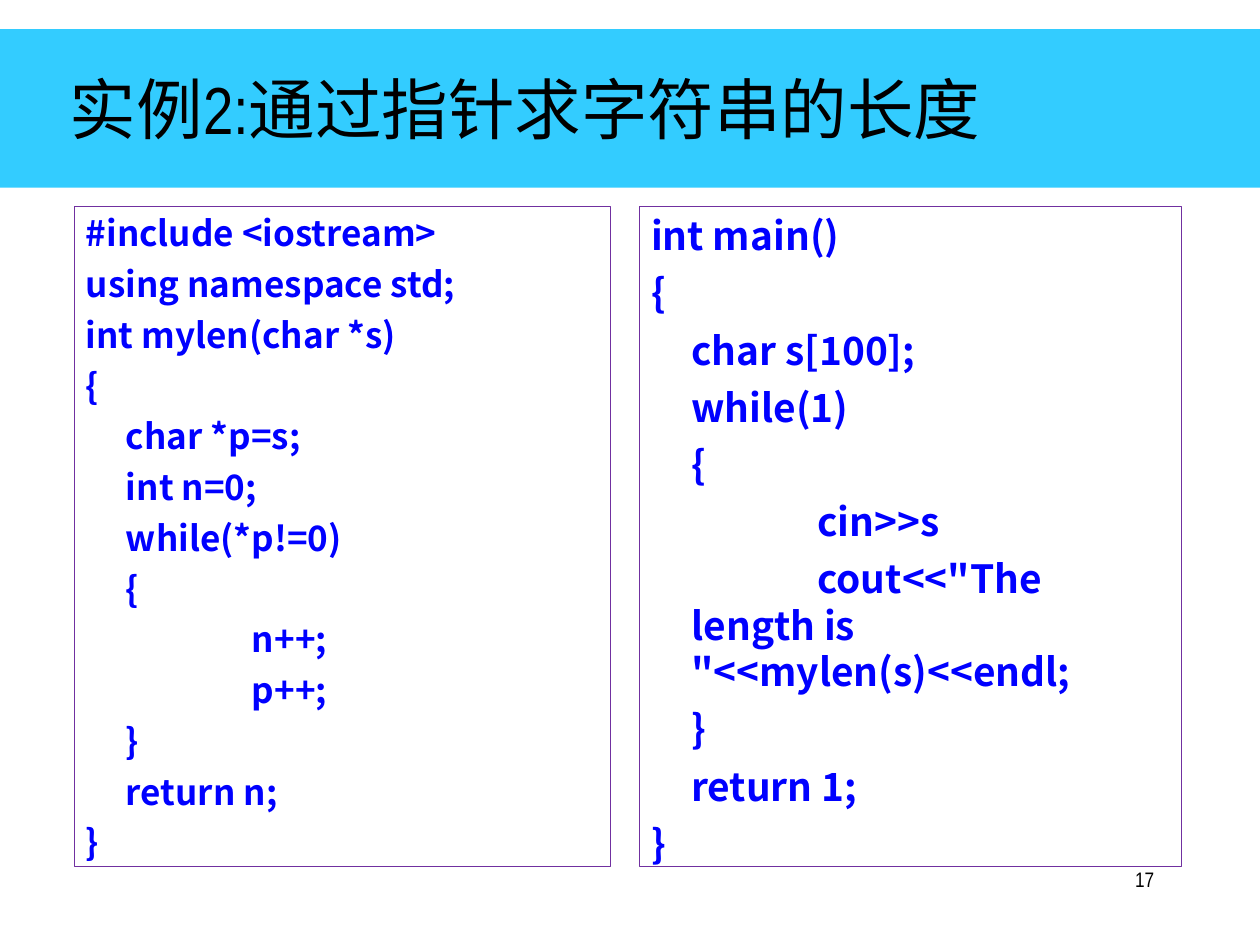
from pptx import Presentation
from pptx.dml.color import RGBColor
from pptx.enum.shapes import MSO_SHAPE
from pptx.enum.text import MSO_ANCHOR, PP_ALIGN
from pptx.oxml.ns import qn
from pptx.util import Pt

RECT = MSO_SHAPE.RECTANGLE
TOP, MIDDLE = MSO_ANCHOR.TOP, MSO_ANCHOR.MIDDLE
LEFT, RIGHT = PP_ALIGN.LEFT, PP_ALIGN.RIGHT

COLORS = {"band": "33CCFF", "border": "7030A0", "code": "0000FF", "text": "000000"}
LATIN, CJK = "Arial Narrow", "Noto Sans CJK SC"

TITLE = "实例2:通过指针求字符串的长度"
PAGE_NUMBER = "17"
MYLEN_CODE = [
    (0, "#include <iostream>"),
    (0, "using namespace std;"),
    (0, "int mylen(char *s)"),
    (0, "{"),
    (1, "char *p=s;"),
    (1, "int n=0;"),
    (1, "while(*p!=0)"),
    (1, "{"),
    (2, "n++;"),
    (2, "p++;"),
    (1, "}"),
    (1, "return n;"),
    (0, "}"),
]
MAIN_CODE = [
    (0, "int main()"),
    (0, "{"),
    (1, "char s[100];"),
    (1, "while(1)"),
    (1, "{"),
    (2, "cin>>s"),
    (2, 'cout<<"The length is "<<mylen(s)<<endl;'),
    (1, "}"),
    (1, "return 1;"),
    (0, "}"),
]
CODE_TOP, CODE_HEIGHT, CODE_MARGIN = 118.1, 377, 23
FIRST_LINE_INDENTS = [-CODE_MARGIN, 0, 72]
CODE_PANELS = [
    {"left": 42.5, "width": 306.4, "size": 20, "before": 5, "lines": MYLEN_CODE},
    {"left": 365.6, "width": 309.6, "size": 22.2, "before": 6, "lines": MAIN_CODE},
]


def rgb(name):
    return RGBColor.from_string(COLORS[name])


def add_rect(s, left, top, width, height):
    sp = s.shapes.add_shape(RECT, Pt(left), Pt(top), Pt(width), Pt(height))
    sp.shadow.inherit = False
    return sp


def set_frame(sp, anchor):
    tf = sp.text_frame
    tf.word_wrap = True
    tf.vertical_anchor = anchor
    tf.margin_left = tf.margin_right = Pt(6.5)
    tf.margin_top = tf.margin_bottom = Pt(3)
    return tf


def add_run(p, text, size, font, color, bold=False):
    r = p.add_run()
    r.text = text
    r.font.size, r.font.name, r.font.bold = Pt(size), font, bold
    r.font.color.rgb = rgb(color)
    ea = r.font._element.makeelement(qn("a:ea"), {"typeface": CJK})
    r.font._element.find(qn("a:latin")).addnext(ea)


def add_label(s, box, text, size, anchor, align):
    sp = s.shapes.add_textbox(*map(Pt, box))
    p = set_frame(sp, anchor).paragraphs[0]
    p.alignment = align
    add_run(p, text, size, LATIN, "text")


def add_code_panel(s, panel):
    sp = add_rect(s, panel["left"], CODE_TOP, panel["width"], CODE_HEIGHT)
    sp.fill.background()
    sp.line.color.rgb = rgb("border")
    sp.line.width = Pt(0.75)
    tf = set_frame(sp, TOP)
    for i, (level, line) in enumerate(panel["lines"]):
        p = tf.add_paragraph() if i else tf.paragraphs[0]
        p.alignment = LEFT
        p.space_before = Pt(panel["before"] if i else 0)
        pPr = p._p.get_or_add_pPr()
        pPr.set("marL", str(Pt(CODE_MARGIN)))
        pPr.set("indent", str(Pt(FIRST_LINE_INDENTS[level])))
        add_run(p, line, panel["size"], CJK, "code", True)


def main():
    prs = Presentation()
    prs.slide_width, prs.slide_height = Pt(720), Pt(540)
    s = prs.slides.add_slide(prs.slide_layouts[6])

    band = add_rect(s, 0, 16.6, 720, 90.7)
    band.fill.solid()
    band.fill.fore_color.rgb = rgb("band")
    band.line.fill.background()

    add_label(s, (33.5, 16.6, 612, 90), TITLE, 38, MIDDLE, LEFT)
    for panel in CODE_PANELS:
        add_code_panel(s, panel)
    add_label(s, (516.2, 492, 149.8, 36), PAGE_NUMBER, 12, TOP, RIGHT)

    prs.save("out.pptx")


if __name__ == "__main__":
    main()
